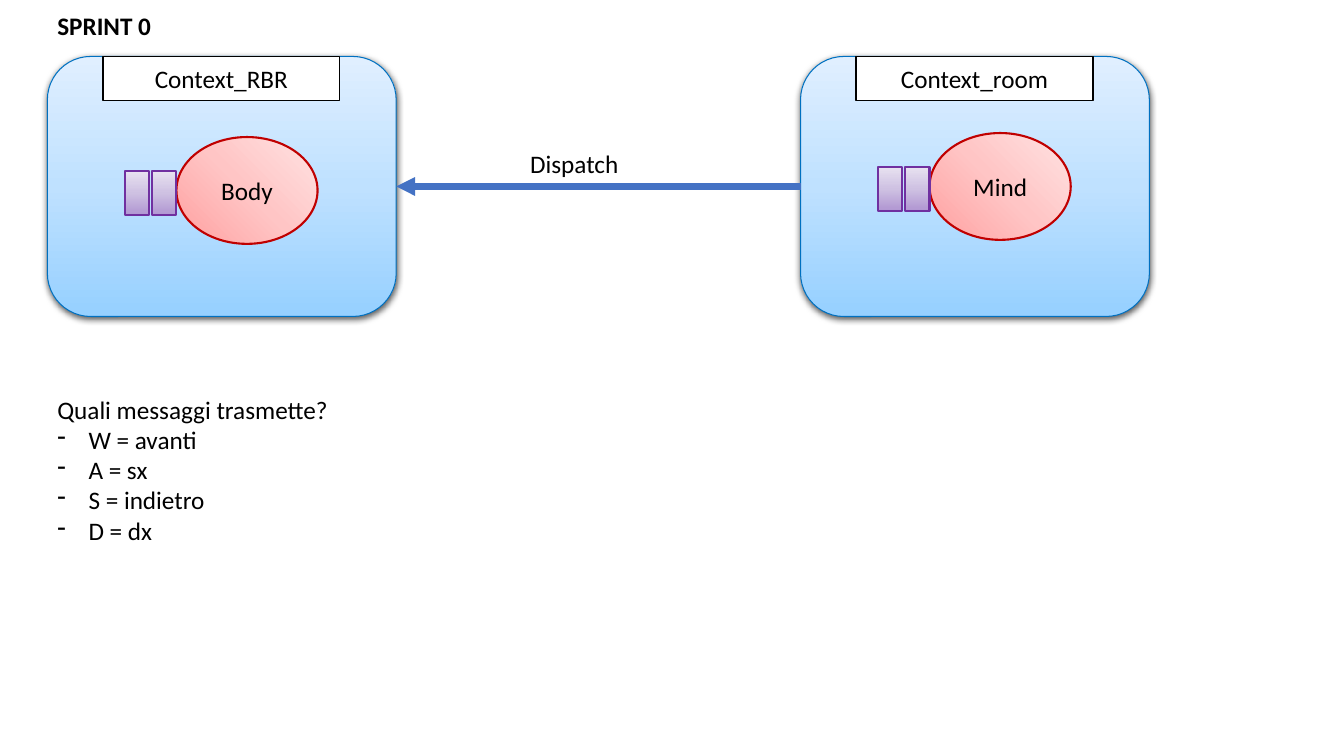
"""Build the Sprint 0 slide: two contexts, their actors and the dispatch between them."""
from dataclasses import dataclass
from typing import Any

from pptx import Presentation, oxml, util as u
from pptx.dml import color
from pptx.enum import shapes, text
from pptx.oxml import ns

INK = {
    "black": "000000", "white": "FFFFFF", "blue": "0070C0",
    "red": "C00000", "purple": "7030A0", "arrow": "4472C4",
}
FADES = {
    "blue": ("96D0FF", "BFE1FF", "E0EFFF"),
    "red": ("FFA0A0", "FFC5C5", "FFE3E3"),
    "purple": ("B197D2", "CEC1E2", "E7E1F0"),
}
UP = '<a:lin ang="16200000" scaled="1"/>'
ROUND = '<a:path path="circle"><a:fillToRect t="100000" r="100000"/></a:path>'
KIND = shapes.MSO_SHAPE
TOP, WIDE, HIGH = 0.56, 3.46, 2.58
KEYS = ("W = avanti", "A = sx", "S = indietro", "D = dx")


@dataclass
class Context:
    left: float
    title: str
    actor: str
    row: float


def rgb(name: str) -> color.RGBColor:
    return color.RGBColor.from_string(INK[name])


def xml(body: str) -> Any:
    tag, rest = body.split(" ", 1)
    return oxml.parse_xml(f"<a:{tag} {ns.nsdecls('a')} {rest}")


def write(frame: Any, *lines: str, bold: bool = False, align: Any = None,
          dash: bool = False) -> None:
    frame.word_wrap = True
    for i, line in enumerate(lines):
        para = frame.paragraphs[0] if i == 0 else frame.add_paragraph()
        para.alignment = align
        run = para.add_run()
        run.text = line
        font = run.font
        font.name, font.size, font.bold = "Calibri", u.Pt(18), bold
        font.color.rgb = rgb("black")
        if dash and i:
            props = para._p.get_or_add_pPr()
            props.set("marL", str(u.Inches(0.31)))
            props.set("indent", str(u.Inches(-0.31)))
            props.append(xml('buChar char="-"/>'))


def label(slide: Any, box: tuple, *lines: str, **form: Any) -> None:
    area = slide.shapes.add_textbox(*map(u.Inches, box))
    write(area.text_frame, *lines, **form)
    area.text_frame.auto_size = text.MSO_AUTO_SIZE.SHAPE_TO_FIT_TEXT


def draw(home: Any, kind: Any, box: tuple, edge: str, width: float,
         fade: str = "", words: str = "") -> Any:
    item = home.shapes.add_shape(kind, *map(u.Inches, box))
    item.shadow.inherit = False
    item.line.color.rgb = rgb(edge)
    item.line.width = u.Pt(width)
    if fade:
        stops = "".join(
            f'<a:gs pos="{i * 50000}"><a:srgbClr val="{tone}"/></a:gs>'
            for i, tone in enumerate(FADES[edge]))
        item.element.spPr.insert(2, xml(
            f'gradFill rotWithShape="1"><a:gsLst>{stops}</a:gsLst>{fade}</a:gradFill>'))
    else:
        item.fill.solid()
        item.fill.fore_color.rgb = rgb("white")
    if words:
        write(item.text_frame, words, align=text.PP_ALIGN.CENTER)
        item.text_frame.vertical_anchor = text.MSO_ANCHOR.MIDDLE
    return item


def place(slide: Any, ctx: Context) -> None:
    x = ctx.left
    panel = draw(slide, KIND.ROUNDED_RECTANGLE, (x, TOP, WIDE, HIGH),
                 "blue", 0.75, UP)
    panel.element.spPr.find(ns.qn("a:effectLst")).append(xml(
        f'outerShdw blurRad="{u.Pt(4.5)}" dist="{u.Pt(1.5)}" dir="5400000" '
        'algn="ctr" rotWithShape="0"><a:srgbClr val="000000">'
        '<a:alpha val="63000"/></a:srgbClr></a:outerShdw>'))
    draw(slide, KIND.RECTANGLE, (x + 0.55, TOP, 2.35, 0.44),
         "black", 1, words=ctx.title)
    group = slide.shapes.add_group_shape()
    draw(group, KIND.OVAL, (x + 1.28, ctx.row, 1.4, 1.06),
         "red", 1.5, ROUND, ctx.actor)
    for step in (1.04, 0.77):
        draw(group, KIND.RECTANGLE, (x + step, ctx.row + 0.34, 0.24, 0.43),
             "purple", 1.5, UP)


def link(slide: Any, *ends: float) -> None:
    line = slide.shapes.add_connector(
        shapes.MSO_CONNECTOR.STRAIGHT, *map(u.Inches, ends))
    line.line.color.rgb = rgb("arrow")
    line.line.width = u.Pt(4.5)
    props = line.element.spPr
    props.find(ns.qn("a:ln")).append(xml('tailEnd type="triangle"/>'))
    props.append(xml("effectLst />"))


def main() -> None:
    deck = Presentation()
    deck.slide_width, deck.slide_height = u.Inches(13.33), u.Inches(7.5)
    slide = deck.slides.add_slide(deck.slide_layouts[6])
    body = Context(0.47, "Context_RBR", "Body", 1.36)
    mind = Context(7.94, "Context_room", "Mind", 1.32)
    for ctx in (body, mind):
        place(slide, ctx)
    mid = TOP + HIGH / 2
    link(slide, mind.left, mid, body.left + WIDE, mid)
    label(slide, (0.47, 0.05, 4.37, 0.4), "SPRINT 0", bold=True)
    label(slide, (5.16, 1.42, 3.13, 0.4), "Dispatch")
    label(slide, (0.47, 3.86, 2.9, 1.62), "Quali messaggi trasmette?", *KEYS,
          dash=True)
    deck.save("out.pptx")


if __name__ == "__main__":
    main()
